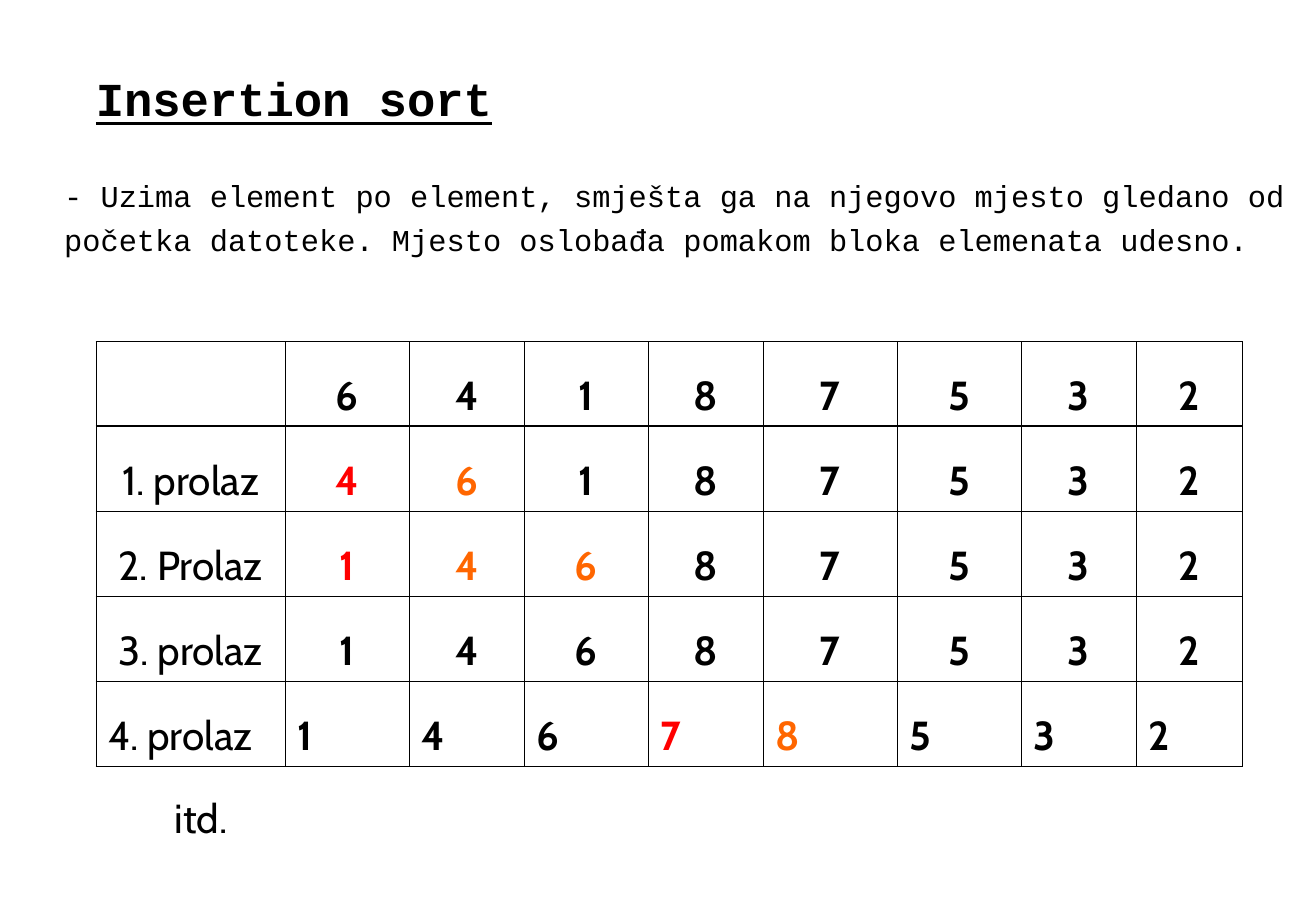
from dataclasses import dataclass

from pptx import Presentation
from pptx.dml.color import RGBColor as RGB
from pptx.enum.text import MSO_ANCHOR as Anchor, MSO_AUTO_SIZE as AutoSize, PP_ALIGN as Align
from pptx.oxml import parse_xml
from pptx.oxml.ns import nsdecls
from pptx.util import Inches, Pt


@dataclass(frozen=True)
class Theme:
    code_font: str = "Courier New"
    table_font: str = "Cabin"
    ink: str = "000000"
    inserted: str = "FF0000"
    shifted: str = "FF6600"
    title_size: int = 28
    body_size: int = 18
    table_size: int = 24
    thin_rule: float = 0.34
    header_rule: float = 1.47


class SortSlide:
    def __init__(self, deck, theme):
        self.theme = theme
        self.slide = deck.slides.add_slide(deck.slide_layouts[5])

    def style(self, paragraph, font, size, color=None, bold=False, underline=False):
        for run in paragraph.runs:
            run.font.name = font
            run.font.size = Pt(size)
            run.font.bold = bold
            run.font.underline = underline
            run.font.color.rgb = RGB.from_string(color or self.theme.ink)

    def fill_frame(self, box, lines, font, size, align=Align.LEFT, gap=0, **look):
        frame = box.text_frame
        frame.text = "\n".join(lines)
        frame.word_wrap = False
        frame.auto_size = AutoSize.NONE
        frame.vertical_anchor = Anchor.TOP
        for index, paragraph in enumerate(frame.paragraphs):
            paragraph.alignment = align
            paragraph.space_before = Pt(gap if index else 0)
            self.style(paragraph, font, size, **look)

    def title(self, text, left, top, width, height):
        heading = self.slide.shapes.title
        heading.left, heading.top = Inches(left), Inches(top)
        heading.width, heading.height = Inches(width), Inches(height)
        self.fill_frame(heading, [text], self.theme.code_font, self.theme.title_size,
                        bold=True, underline=True)

    def text(self, lines, left, top, width, height, font, size, **look):
        box = self.slide.shapes.add_textbox(Inches(left), Inches(top), Inches(width), Inches(height))
        self.fill_frame(box, lines, font, size, **look)

    def border(self, cell, **widths):
        for side, width in widths.items():
            cell._tc.get_or_add_tcPr().append(parse_xml(
                f'<a:ln{side} {nsdecls("a")} w="{Pt(width)}"><a:solidFill>'
                f'<a:srgbClr val="{self.theme.ink}"/></a:solidFill></a:ln{side}>'))

    def table(self, rows, colors, left, top, column_widths, row_height):
        theme = self.theme
        grid = self.slide.shapes.add_table(
            len(rows), len(column_widths), Inches(left), Inches(top),
            Inches(sum(column_widths)), Inches(row_height * len(rows))).table
        grid.first_row = grid.horz_banding = False
        for column, width in zip(grid.columns, column_widths):
            column.width = Inches(width)
        for r, values in enumerate(rows):
            grid.rows[r].height = Inches(row_height)
            for c, value in enumerate(values):
                cell = grid.cell(r, c)
                self.border(cell, L=theme.thin_rule, R=theme.thin_rule,
                            T=theme.header_rule if r == 1 else theme.thin_rule,
                            B=theme.header_rule if r == 0 else theme.thin_rule)
                cell.fill.background()
                cell.vertical_anchor = Anchor.MIDDLE
                cell.margin_top = cell.margin_bottom = Inches(0.04)
                if not value:
                    continue
                cell.text = value
                paragraph = cell.text_frame.paragraphs[0]
                paragraph.line_spacing = 1.5
                last_row = r == len(rows) - 1
                paragraph.alignment = Align.LEFT if last_row else Align.CENTER
                self.style(paragraph, theme.table_font, theme.table_size,
                           color=colors.get((r, c)), bold=c > 0)


def main():
    deck = Presentation()
    deck.slide_width, deck.slide_height = Inches(10.84), Inches(7.5)
    theme = Theme()
    page = SortSlide(deck, theme)

    # Heading and description
    page.title("Insertion sort", 0.69, 0.52, 4, 0.57)
    page.text(["- Uzima element po element, smješta ga na njegovo mjesto gledano od",
               "početka datoteke. Mjesto oslobađa pomakom bloka elemenata udesno."],
              0.43, 1.41, 10.25, 0.77, theme.code_font, theme.body_size,
              align=Align.JUSTIFY, gap=4.5)

    # State of the list after each pass
    passes = [("", "64187532"), ("1. prolaz", "46187532"), ("2. Prolaz", "14687532"),
              ("3. prolaz", "14687532"), ("4. prolaz", "14678532")]
    rows = [[label, *digits] for label, digits in passes]
    # (row, column) of the inserted element and of those moved right
    inserted = [(1, 1), (2, 1), (4, 4)]
    shifted = [(1, 2), (2, 2), (2, 3), (4, 5)]
    colors = {**dict.fromkeys(inserted, theme.inserted), **dict.fromkeys(shifted, theme.shifted)}
    page.table(rows, colors, 0.79, 2.81,
               [1.56, 1.02, 0.95, 1.02, 0.95, 1.1, 1.02, 0.95, 0.87], 0.7)

    # Continuation
    page.text(["itd."], 1.34, 6.48, 0.7, 0.5, theme.table_font, theme.table_size)

    deck.save("out.pptx")


if __name__ == "__main__":
    main()
